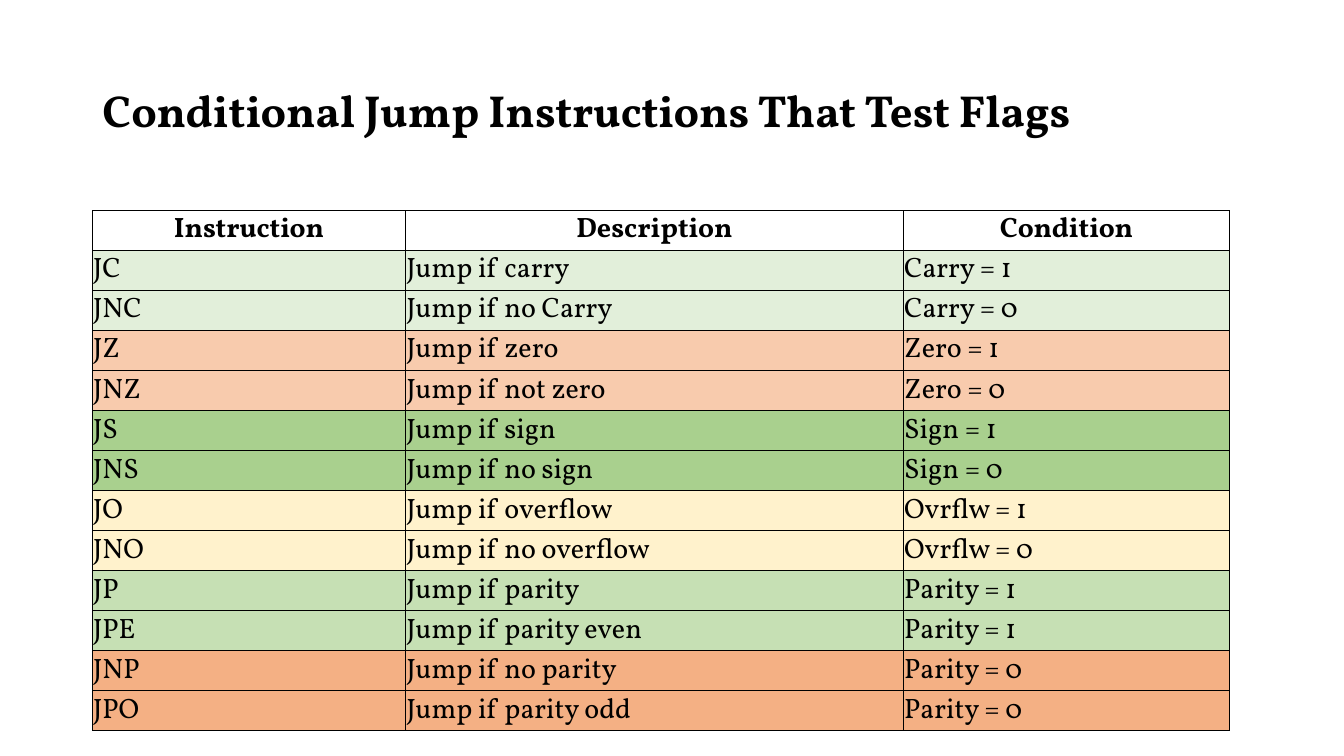
from lxml.etree import SubElement
from pptx import Presentation
from pptx.dml.color import RGBColor
from pptx.enum.text import MSO_ANCHOR, PP_ALIGN
from pptx.oxml.ns import qn
from pptx.util import Pt

TITLE = "Conditional Jump Instructions That Test Flags"
HEAD = ("Instruction", "Description", "Condition")
# Each flag: row colour, then its jumps
FLAGS = [
    ("E2EFDA", [("JC", "Jump if carry", "Carry = 1"),
                ("JNC", "Jump if no Carry", "Carry = 0")]),
    ("F8CBAD", [("JZ", "Jump if zero", "Zero = 1"),
                ("JNZ", "Jump if not zero", "Zero = 0")]),
    ("A9D08E", [("JS", "Jump if sign", "Sign = 1"),
                ("JNS", "Jump if no sign", "Sign = 0")]),
    ("FFF2CC", [("JO", "Jump if overflow", "Ovrflw = 1"),
                ("JNO", "Jump if no overflow", "Ovrflw = 0")]),
    ("C6E0B4", [("JP", "Jump if parity", "Parity = 1"),
                ("JPE", "Jump if parity even", "Parity = 1")]),
    ("F4B084", [("JNP", "Jump if no parity", "Parity = 0"),
                ("JPO", "Jump if parity odd", "Parity = 0")]),
]
FONT, INK, PAPER = "Vollkorn", "000000", "FFFFFF"
LEFT, TOP = 66, 150.3
WIDTHS = (223.8, 355.5, 233)
ROW = 26.6


def color(code):
    return RGBColor.from_string(code)


def style(para, size, bold):
    font = para.font
    font.name, font.size, font.bold = FONT, Pt(size), bold
    font.color.rgb = color(INK)


def border(cell):
    props = cell._tc.get_or_add_tcPr()
    for side in ("lnL", "lnR", "lnT", "lnB"):
        line = SubElement(props, qn("a:" + side), w=str(Pt(0.5)))
        fill = SubElement(line, qn("a:solidFill"))
        SubElement(fill, qn("a:srgbClr"), val=INK)


def fill_cell(cell, text, back, head):
    border(cell)
    cell.fill.solid()
    cell.fill.fore_color.rgb = color(back)
    cell.vertical_anchor = MSO_ANCHOR.MIDDLE
    cell.margin_left = cell.margin_right = cell.margin_top = Pt(0.6)
    cell.margin_bottom = 0
    cell.text = text
    para = cell.text_frame.paragraphs[0]
    para.alignment = PP_ALIGN.CENTER if head else PP_ALIGN.LEFT
    style(para, 20, head)


deck = Presentation()
deck.slide_width, deck.slide_height = Pt(960), Pt(540)
slide = deck.slides.add_slide(deck.slide_layouts[5])

# Title
title = slide.shapes.title
title.left, title.top, title.width, title.height = Pt(66), Pt(28.8), Pt(828), Pt(104.4)
frame = title.text_frame
frame.text = TITLE
frame.vertical_anchor = MSO_ANCHOR.MIDDLE
para = frame.paragraphs[0]
para.alignment = PP_ALIGN.LEFT
para.line_spacing = 0.9
style(para, 32, True)

# Table of jumps
rows = [(PAPER, HEAD)] + [(back, jump) for back, jumps in FLAGS for jump in jumps]
table = slide.shapes.add_table(len(rows), len(HEAD), Pt(LEFT), Pt(TOP),
                               Pt(sum(WIDTHS)), Pt(ROW * len(rows))).table
for col, width in zip(table.columns, WIDTHS):
    col.width = Pt(width)
for r, (back, texts) in enumerate(rows):
    table.rows[r].height = Pt(ROW)
    for c, text in enumerate(texts):
        fill_cell(table.cell(r, c), text, back, r == 0)

deck.save("out.pptx")
